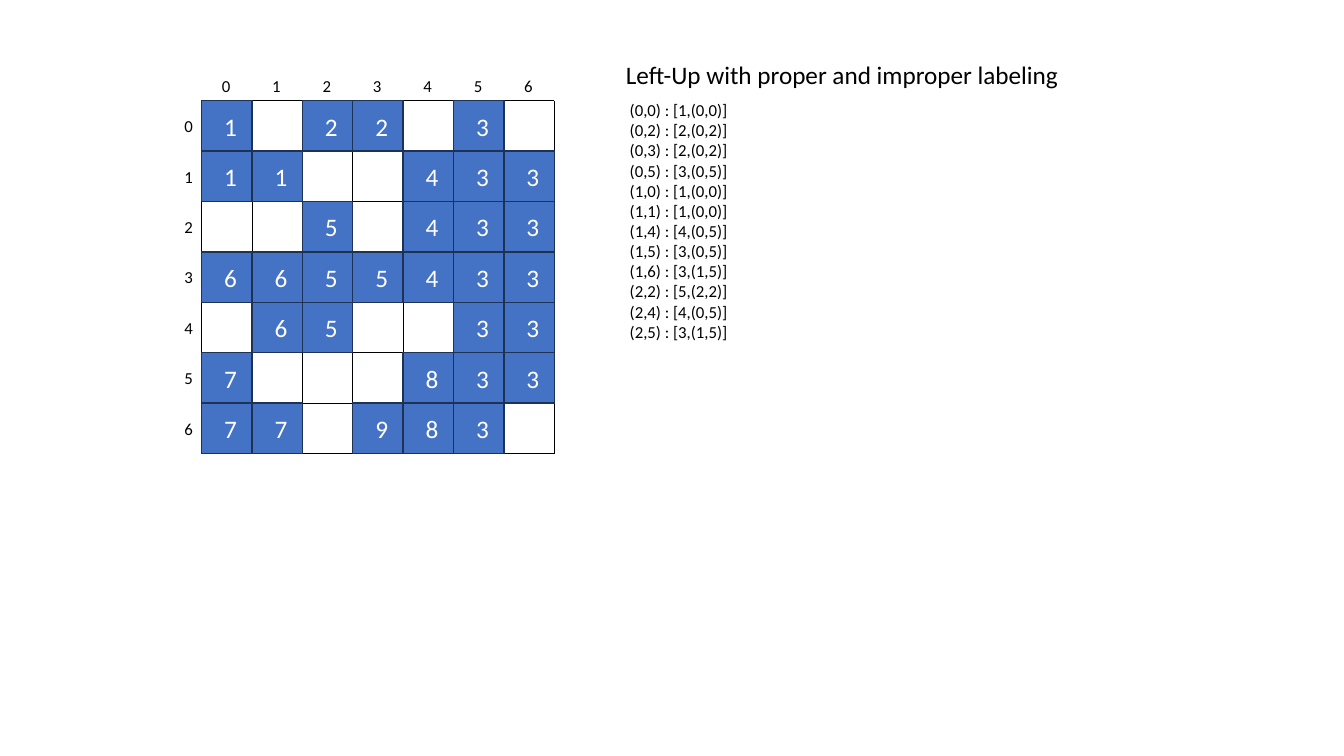
"""Build a slide showing a labelled 7 x 7 cluster grid and its list of labels."""
from lxml.etree import SubElement
from pptx import Presentation
from pptx.dml.color import RGBColor as RGB
from pptx.enum.shapes import MSO_CONNECTOR as CONN, MSO_SHAPE as SHAPE
from pptx.enum.text import MSO_ANCHOR as ANCHOR, MSO_AUTO_SIZE as AUTO, PP_ALIGN as ALIGN
from pptx.oxml.ns import qn
from pptx.util import Cm, Pt

TITLE = "Left-Up with proper and improper labeling"
GRID = [
    "1.22.3.",
    "11..433",
    "..5.433",
    "6655433",
    ".65..33",
    "7...833",
    "77.983.",
]
LABELS = [
    "(0,0) : [1,(0,0)]",
    "(0,2) : [2,(0,2)]",
    "(0,3) : [2,(0,2)]",
    "(0,5) : [3,(0,5)]",
    "(1,0) : [1,(0,0)]",
    "(1,1) : [1,(0,0)]",
    "(1,4) : [4,(0,5)]",
    "(1,5) : [3,(0,5)]",
    "(1,6) : [3,(1,5)]",
    "(2,2) : [5,(2,2)]",
    "(2,4) : [4,(0,5)]",
    "(2,5) : [3,(1,5)]",
]
COLORS = {"cell": "4472C4", "edge": "1E3256", "line": "000000", "text": "000000", "digit": "FFFFFF"}
FONT = "Calibri"
LEFT, TOP, CELL = Cm(5.08), Cm(2.54), Cm(1.27)
SIZE = len(GRID)
END = SIZE * CELL


def color(name):
    return RGB.from_string(COLORS[name])


def write(sp, text, size, name="text", align=ALIGN.LEFT, anchor=ANCHOR.TOP):
    tf = sp.text_frame
    tf.text = text
    tf.word_wrap = True
    tf.auto_size = AUTO.NONE
    tf.vertical_anchor = anchor
    for p in tf.paragraphs:
        p.alignment = align
        for r in p.runs:
            r.font.name, r.font.size = FONT, Pt(size)
            r.font.color.rgb = color(name)
    return tf


def add_line(shapes, x1, y1, x2, y2):
    c = shapes.add_connector(CONN.STRAIGHT, x1, y1, x2, y2)
    c.line.color.rgb = color("line")
    c.line.width = Pt(0.5)
    SubElement(c._element.spPr, qn("a:effectLst"))


def add_square(shapes, x, y, side):
    sp = shapes.add_shape(SHAPE.RECTANGLE, x, y, side, side)
    sp.shadow.inherit = False
    sp.fill.solid()
    sp.fill.fore_color.rgb = color("cell")
    return sp


def add_index(shapes, x, y, number):
    tf = write(shapes.add_textbox(x, y, Cm(0.51), Cm(0.51)), str(number), 12)
    tf.margin_left = tf.margin_right = tf.margin_top = tf.margin_bottom = 0


def add_grid(shapes):
    grid = shapes.add_group_shape().shapes
    for i in range(SIZE + 1):
        add_line(grid, LEFT + i * CELL, TOP, LEFT + i * CELL, TOP + END)
    for i in range(SIZE + 1):
        add_line(grid, LEFT, TOP + i * CELL, LEFT + END, TOP + i * CELL)

    filled = [(LEFT + col * CELL, TOP + row * CELL, digit)
              for row, digits in enumerate(GRID)
              for col, digit in enumerate(digits) if digit != "."]
    for x, y, _ in filled:
        sp = add_square(grid, x, y, CELL)
        sp.line.color.rgb = color("edge")
        sp.line.width = Pt(1)
    for x, y, digit in filled:
        sp = add_square(shapes, x + CELL // 4, y + CELL // 4, CELL // 2)
        sp.line.fill.background()
        write(sp, digit, 18, "digit", ALIGN.CENTER, ANCHOR.MIDDLE)


def main():
    prs = Presentation()
    prs.slide_width, prs.slide_height = Cm(33.87), Cm(19.05)
    s = prs.slides.add_slide(prs.slide_layouts[5])
    add_grid(s.shapes)

    title = s.shapes.title
    title.left, title.top, title.width, title.height = Cm(15.52), Cm(1.37), Cm(13.28), Cm(1.02)
    write(title, TITLE, 18)
    write(s.shapes.add_textbox(Cm(15.62), Cm(2.39), Cm(8.56), Cm(7.95)), "\n".join(LABELS), 12)

    for i in range(SIZE):
        add_index(s.shapes, LEFT + i * CELL + Cm(0.51), Cm(1.9), i)
    for i in range(SIZE):
        add_index(s.shapes, Cm(4.65), TOP + i * CELL + Cm(0.38), i)
    prs.save("out.pptx")


if __name__ == "__main__":
    main()
